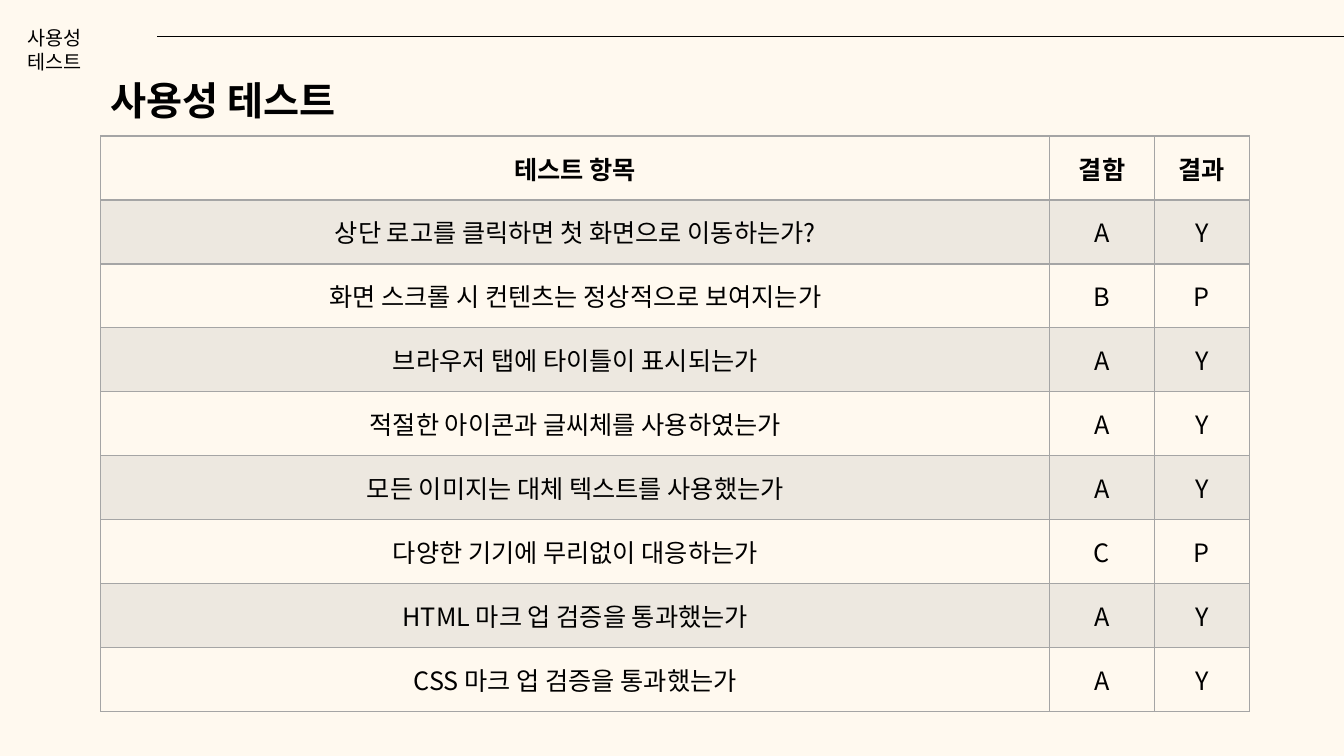
"""Build the usability test slide with its results table."""
from lxml import etree
from pptx import Presentation
from pptx.dml.color import RGBColor
from pptx.enum.shapes import MSO_CONNECTOR
from pptx.enum.text import MSO_ANCHOR, PP_ALIGN
from pptx.oxml.ns import qn
from pptx.util import Inches, Pt

CENTER = PP_ALIGN.CENTER
MIDDLE = MSO_ANCHOR.MIDDLE
STRAIGHT = MSO_CONNECTOR.STRAIGHT
CREAM = RGBColor(0xFF, 0xF9, 0xEF)
BLACK = RGBColor(0, 0, 0)
GREY = RGBColor(0xA5, 0xA5, 0xA5)
FONT = "Noto Sans CJK KR"
BAND_OPACITY = 20
COLUMN_WIDTHS = [9.41, 1.04, 0.94]
TABLE_HEIGHT = 5.71
CELL_MARGINS = {"margin_left": 0.13, "margin_right": 0.13, "margin_top": 0.06, "margin_bottom": 0.06}
ROWS = [
    ("테스트 항목", "결함", "결과"),
    ("상단 로고를 클릭하면 첫 화면으로 이동하는가?", "A", "Y"),
    ("화면 스크롤 시 컨텐츠는 정상적으로 보여지는가", "B", "P"),
    ("브라우저 탭에 타이틀이 표시되는가", "A", "Y"),
    ("적절한 아이콘과 글씨체를 사용하였는가", "A", "Y"),
    ("모든 이미지는 대체 텍스트를 사용했는가", "A", "Y"),
    ("다양한 기기에 무리없이 대응하는가", "C", "P"),
    ("HTML 마크 업 검증을 통과했는가", "A", "Y"),
    ("CSS 마크 업 검증을 통과했는가", "A", "Y"),
]


def write_text(frame, text, size, bold):
    """Write one styled run and return its paragraph."""
    para = frame.paragraphs[0]
    span = para.add_run()
    span.text = text
    for name, value in {"name": FONT, "size": Pt(size), "bold": bold}.items():
        setattr(span.font, name, value)
    span.font.color.rgb = BLACK
    etree.SubElement(span.font._element, qn("a:ea"), typeface=FONT)
    return para


def add_border(cell, side, width):
    """Add a grey border to one side of a cell."""
    line = etree.SubElement(cell._tc.get_or_add_tcPr(), qn(f"a:ln{side}"), w=str(Pt(width)))
    fill = etree.SubElement(line, qn("a:solidFill"))
    etree.SubElement(fill, qn("a:srgbClr"), val=str(GREY))


deck = Presentation()
deck.slide_width, deck.slide_height = Inches(13.33), Inches(7.5)
page = deck.slides.add_slide(deck.slide_layouts[6])
page.background.fill.solid()
page.background.fill.fore_color.rgb = CREAM

table = page.shapes.add_table(
    len(ROWS), len(COLUMN_WIDTHS),
    Inches(1), Inches(1.35), Inches(sum(COLUMN_WIDTHS)), Inches(TABLE_HEIGHT),
).table
table.first_row = True
table.horz_banding = False
for column, width in zip(table.columns, COLUMN_WIDTHS):
    column.width = Inches(width)

for row_index, texts in enumerate(ROWS):
    table.rows[row_index].height = Inches(TABLE_HEIGHT / len(ROWS))
    is_header = row_index == 0
    for column_index, text in enumerate(texts):
        cell = table.cell(row_index, column_index)
        cell.vertical_anchor = MIDDLE
        for name, margin in CELL_MARGINS.items():
            setattr(cell, name, Inches(margin))
        write_text(cell.text_frame, text, 18, is_header).alignment = CENTER
        top, bottom = 2 if row_index == 1 else 1, 2 if is_header else 1
        for side, width in {"L": 1, "R": 1, "T": top, "B": bottom}.items():
            add_border(cell, side, width)
        if row_index % 2:
            cell.fill.solid()
            cell.fill.fore_color.rgb = GREY
            color = cell._tc.tcPr.find(qn("a:solidFill")).find(qn("a:srgbClr"))
            etree.SubElement(color, qn("a:alpha"), val=str(BAND_OPACITY * 1000))
        else:
            cell.fill.background()

rule = page.shapes.add_connector(STRAIGHT, Inches(1.56), Inches(0.36), Inches(13.33), Inches(0.36))
rule.line.color.rgb = BLACK
rule.line.width = Pt(0.5)
etree.SubElement(rule._element.spPr, qn("a:effectLst"))

for left, top, width, height, size, bold, wrap in [
    (0.17, 0.21, 1.2, 0.34, 14, False, True),
    (1, 0.71, 2.74, 0.57, 28, True, False),
]:
    box = page.shapes.add_textbox(Inches(left), Inches(top), Inches(width), Inches(height))
    box.text_frame.word_wrap = wrap
    write_text(box.text_frame, "사용성 테스트", size, bold)

deck.save("out.pptx")
